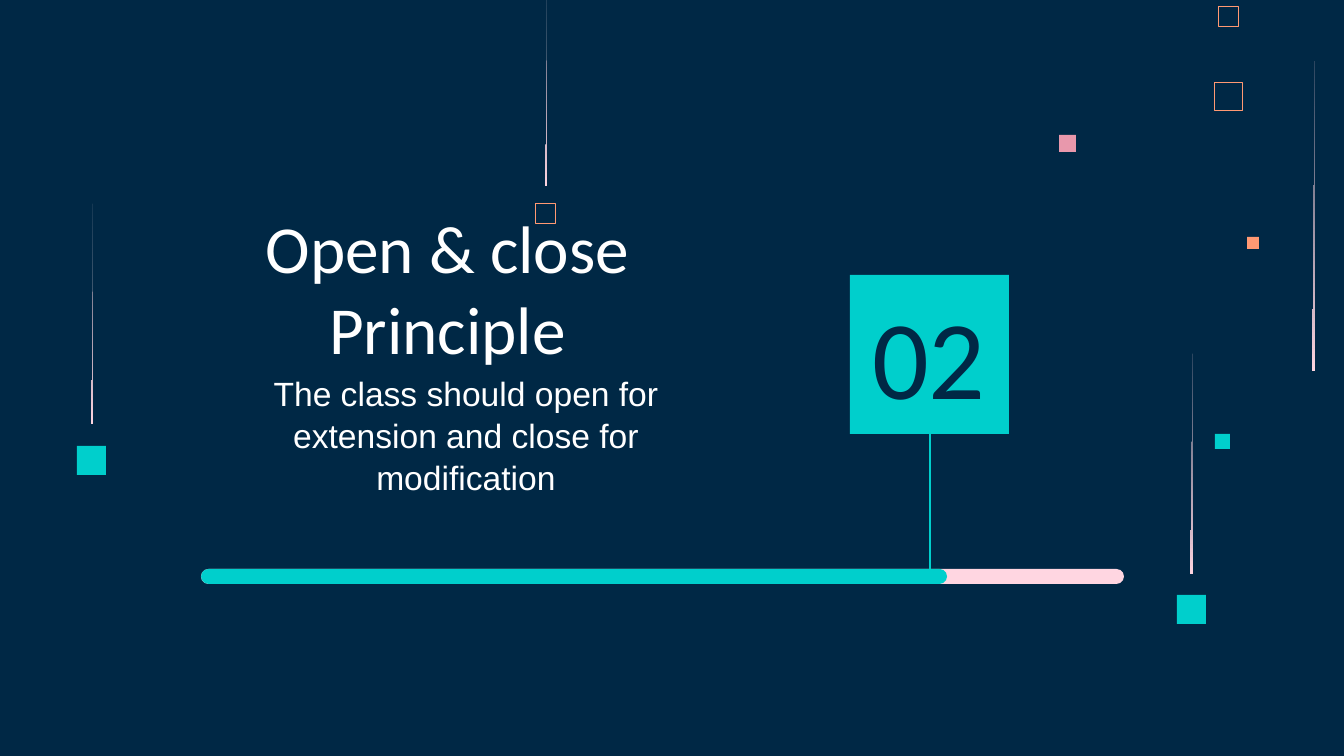
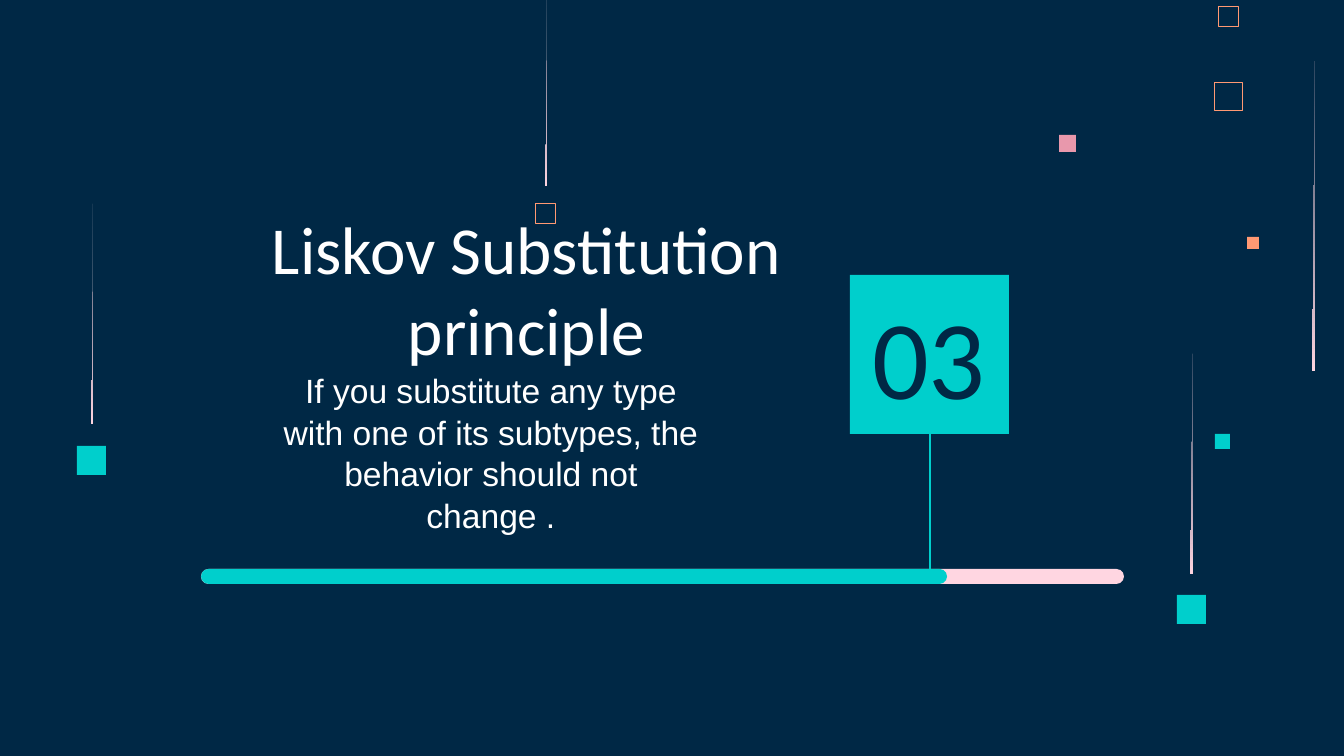
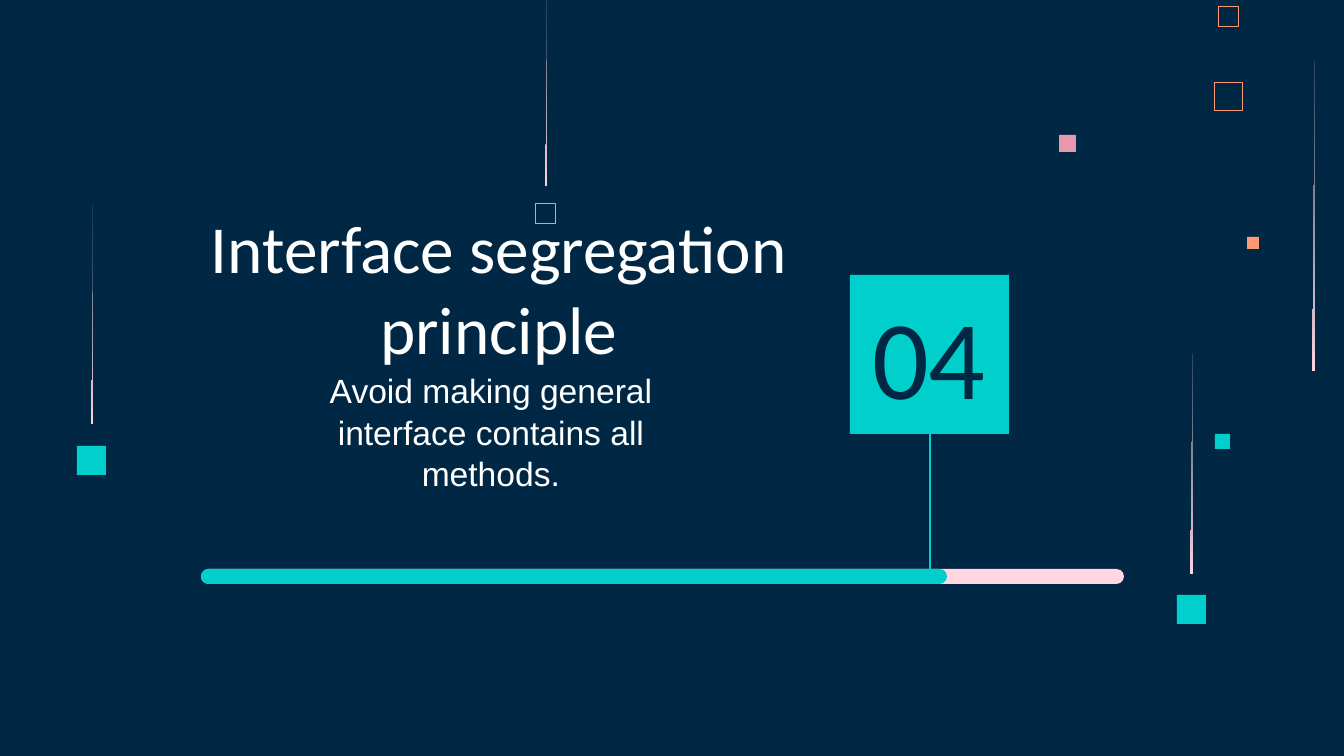
from dataclasses import dataclass

from lxml.etree import SubElement
from pptx import Presentation
from pptx.dml.color import RGBColor as Rgb
from pptx.enum.shapes import MSO_CONNECTOR as Connector, MSO_SHAPE as Preset
from pptx.enum.text import MSO_ANCHOR as Anchor, MSO_AUTO_SIZE as AutoSize, PP_ALIGN as Align
from pptx.oxml.ns import qn
from pptx.util import Emu, Pt


@dataclass(frozen=True)
class Theme:
    """Colours, fonts and type sizes shared by the slides."""
    navy: Rgb = Rgb.from_string("002845")
    teal: Rgb = Rgb.from_string("00CFCC")
    blush: Rgb = Rgb.from_string("FFD6E1")
    rose: Rgb = Rgb.from_string("E898AC")
    orange: Rgb = Rgb.from_string("FF9973")
    white: Rgb = Rgb.from_string("FFFFFF")
    heading_font: str = "Calibri"
    body_font: str = "Arial"
    title_size: int = 36
    summary_size: int = 18
    number_size: int = 60


THEME = Theme()
PX_PER_INCH = 134.4
INSET = 13
FIRST_ORNAMENT_ID = 100

SOLID_SQUARES = [
    (1059, 135, 17, THEME.rose),
    (1215, 434, 15, THEME.teal),
    (1247, 237, 12, THEME.orange),
    (1177, 595, 29, THEME.teal),
    (77, 446, 29, THEME.teal),
]
HOLLOW_SQUARES = [(1214, 82, 28, 0.45), (1218, 6, 20, 0.32), (535, 203, 20, 0.32)]
STREAKS = [(545, -65, 185), (1313, 0, 371), (1191, 310, 574), (91, 160, 424)]

PRINCIPLES = [
    ("02", "Open & close Principle", (191, 257, 513, 124),
     "The class should open for extension and close for modification", (238, 358, 456, 155)),
    ("03", "Liskov Substitution principle", (235, 258, 583, 124),
     "If you substitute any type with one of its subtypes, the behavior should not change .",
     (263, 355, 456, 155)),
    ("04", "Interface segregation principle", (159, 257, 680, 124),
     "Avoid making general interface contains all methods.", (263, 355, 456, 155)),
]


def px(length):
    """Turn a length in px into EMU."""
    return Emu(round(length * 914400 / PX_PER_INCH))


def add_block(slide, preset, box, fill=None, outline=None, weight=0):
    """Add a flat shape with a fill, an outline or both."""
    block = slide.shapes.add_shape(preset, *map(px, box))
    block.shadow.inherit = False
    if fill is None:
        block.fill.background()
    else:
        block.fill.solid()
        block.fill.fore_color.rgb = fill
    if outline is None:
        block.line.fill.background()
    else:
        block.line.color.rgb = outline
        block.line.width = Pt(weight)
    return block


def add_streak(slide, x, top, bottom):
    """Add a hairline wedge that fades out towards its top."""
    builder = slide.shapes.build_freeform(px(x + 1), px(top))
    builder.add_line_segments([(px(x), px(bottom)), (px(x + 1), px(bottom))], close=True)
    streak = builder.convert_to_shape()
    streak.shadow.inherit = False
    streak.line.fill.background()
    streak.fill.gradient()
    streak.fill.gradient_angle = 270
    for stop in streak.fill.gradient_stops:
        stop.color.rgb = THEME.blush
    faded = streak.element.xpath(".//a:gs/a:srgbClr")[0]
    SubElement(faded, qn("a:alpha")).set("val", "0")


def add_ornaments(slide):
    """Scatter the squares and falling streaks over the background."""
    for x, y, side, colour in SOLID_SQUARES:
        add_block(slide, Preset.RECTANGLE, (x, y, side, side), colour)
    for x, y, side, weight in HOLLOW_SQUARES:
        add_block(slide, Preset.RECTANGLE, (x, y, side, side), outline=THEME.orange, weight=weight)
    for x, top, bottom in STREAKS:
        add_streak(slide, x, top, bottom)


def move_to_layout(slide):
    """Hand the slide's drawn shapes to its layout, so that all slides show them."""
    ornaments = [shape for shape in slide.shapes if not shape.is_placeholder]
    for number, ornament in enumerate(ornaments, FIRST_ORNAMENT_ID):
        ornament.element.nvSpPr.cNvPr.set("id", str(number))
        slide.slide_layout.shapes.element.append(ornament.element)


def write(holder, box, text, font, size, colour, anchor, spacing=1.0):
    """Place a text holder and write one centred run in it."""
    holder.left, holder.top, holder.width, holder.height = map(px, box)
    frame = holder.text_frame
    frame.word_wrap = True
    frame.auto_size = AutoSize.NONE
    frame.vertical_anchor = anchor
    frame.margin_left = frame.margin_right = px(INSET)
    frame.margin_top = frame.margin_bottom = px(INSET)
    paragraph = frame.paragraphs[0]
    paragraph.alignment = Align.CENTER
    paragraph.line_spacing = spacing
    run = paragraph.add_run()
    run.text = text
    run.font.name = font
    run.font.size = Pt(size)
    run.font.color.rgb = colour


def add_text(slide, box, *style, **options):
    """Add a text box in the given style."""
    write(slide.shapes.add_textbox(*map(px, box)), box, *style, **options)


def add_progress(slide):
    """Add the rounded track with its filled part."""
    for width, colour in ((923, THEME.blush), (746, THEME.teal)):
        bar = add_block(slide, Preset.ROUNDED_RECTANGLE, (201, 569, width, 15), colour)
        bar.adjustments[0] = 0.5


def add_stem(slide):
    """Join the number badge to the progress bar."""
    stem = slide.shapes.add_connector(Connector.STRAIGHT, px(930), px(434), px(930), px(578))
    stem.line.color.rgb = THEME.teal
    stem.line.width = Pt(1.5)
    SubElement(stem.element.spPr, qn("a:effectLst"))


def add_principle(slide, number, title, title_box, summary, summary_box):
    """Fill one section slide with its principle."""
    write(slide.shapes.title, title_box, title, THEME.heading_font, THEME.title_size,
          THEME.white, Anchor.BOTTOM)
    add_text(slide, summary_box, summary, THEME.body_font, THEME.summary_size,
             THEME.white, Anchor.TOP, spacing=1.04)
    add_block(slide, Preset.RECTANGLE, (850, 275, 159, 159), THEME.teal)
    add_text(slide, (857, 312, 144, 85), number, THEME.heading_font, THEME.number_size,
             THEME.navy, Anchor.MIDDLE)
    add_progress(slide)
    add_stem(slide)


def main():
    """Build the deck and save it."""
    deck = Presentation()
    deck.slide_width, deck.slide_height = px(1344), px(756)
    backdrop = deck.slide_master.background.fill
    backdrop.solid()
    backdrop.fore_color.rgb = THEME.navy
    title_only = deck.slide_layouts.get_by_name("Title Only")
    slides = [deck.slides.add_slide(title_only) for _ in PRINCIPLES]
    add_ornaments(slides[0])
    move_to_layout(slides[0])
    for slide, principle in zip(slides, PRINCIPLES):
        add_principle(slide, *principle)
    deck.save("out.pptx")


if __name__ == "__main__":
    main()
